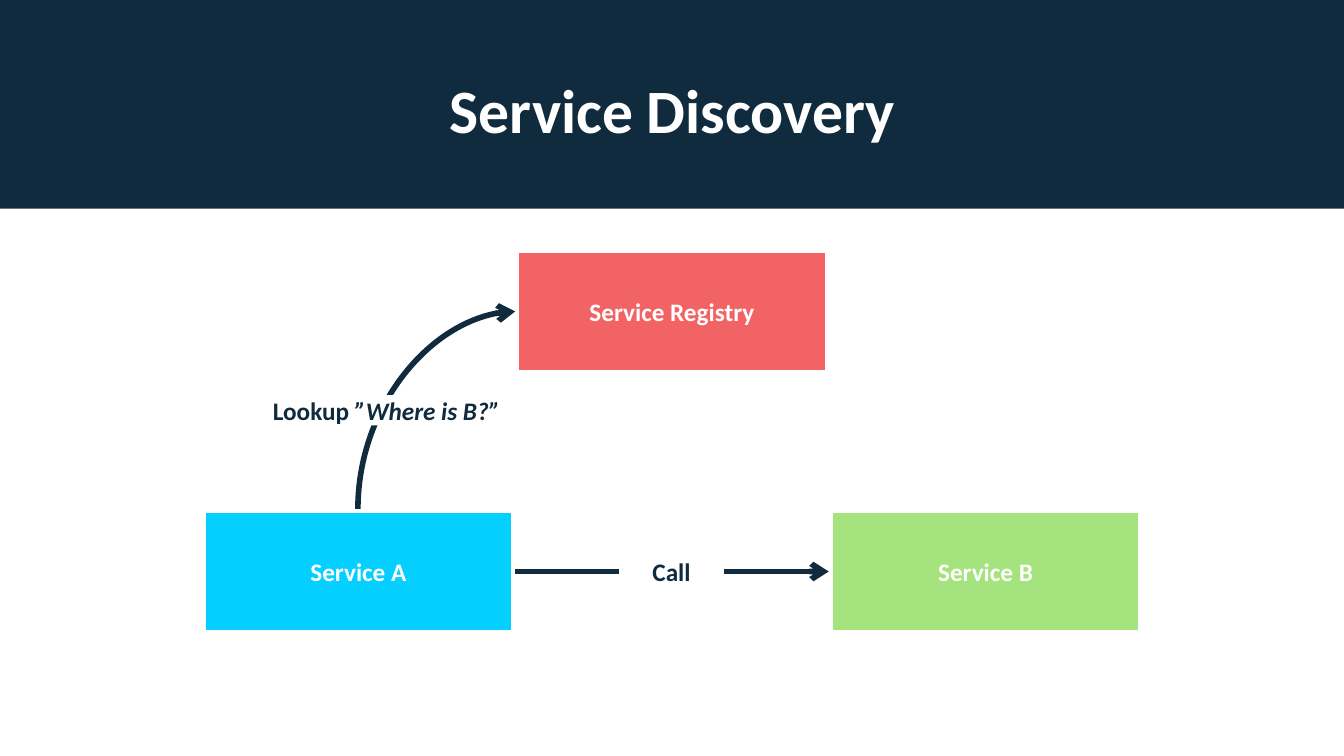
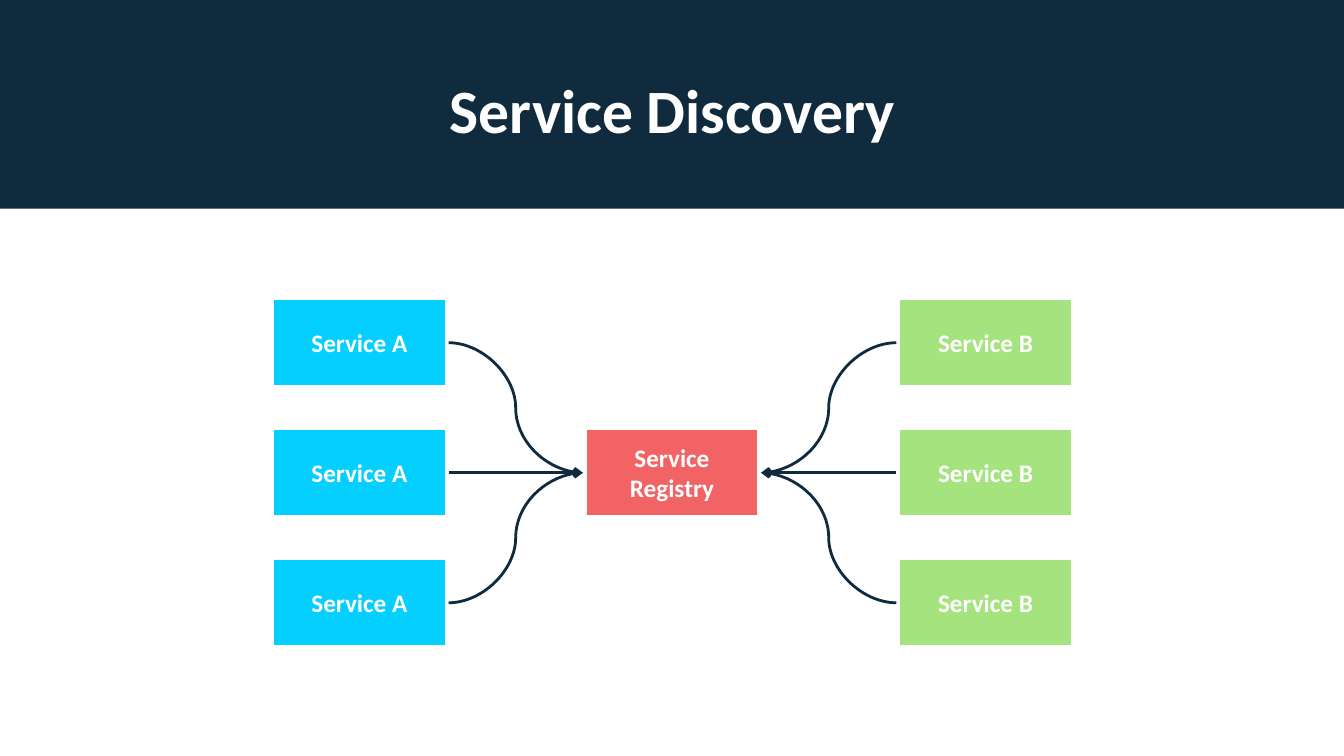
from dataclasses import dataclass

from lxml import etree
from pptx import Presentation
from pptx import util as u
from pptx.dml import color
from pptx.enum import shapes, text
from pptx.oxml import ns

PX = u.Inches(1) // 100
WIDTH, HEIGHT = 1333, 750


@dataclass(frozen=True)
class Theme:
    font: str = "Calibri"
    title: int = 44
    body: int = 18
    outline: float = 5.5
    navy: str = "102B3E"
    white: str = "FFFFFF"
    registry: str = "F16364"
    client: str = "05CFFF"
    provider: str = "A4E37D"


T = Theme()


def px(*lengths):
    return [round(n * PX) for n in lengths]


def rgb(value):
    return color.RGBColor.from_string(value)


def apply(obj, fmt):
    for name, value in fmt.items():
        setattr(obj, name, value)


def write(sp, runs, ink, size=T.body, spacing=None):
    tf = sp.text_frame
    apply(tf, {"word_wrap": True, "auto_size": text.MSO_AUTO_SIZE.NONE,
               "vertical_anchor": text.MSO_ANCHOR.MIDDLE})
    p = tf.paragraphs[0]
    apply(p, {"alignment": text.PP_ALIGN.CENTER, "line_spacing": spacing})
    for words, fmt in runs:
        r = p.add_run()
        r.text = words
        apply(r.font, {"name": T.font, "size": u.Pt(size), "bold": True, **fmt})
        r.font.color.rgb = rgb(ink)


def add_panel(parent, box, fill, kind=shapes.MSO_SHAPE.RECTANGLE):
    sp = parent.shapes.add_shape(kind, *px(*box))
    sp.shadow.inherit = False
    sp.fill.solid()
    sp.fill.fore_color.rgb = rgb(fill)
    sp.line.fill.background()
    return sp


def add_service(s, name, box, fill):
    sp = add_panel(s, box, fill, shapes.MSO_SHAPE.ROUNDED_RECTANGLE)
    sp.adjustments[0] = 0
    sp.line.color.rgb = rgb(T.white)
    sp.line.width = u.Pt(T.outline)
    write(sp, [(name, {})], T.white)


def add_label(parent, runs, box):
    write(add_panel(parent, box, T.white), runs, T.navy)


def add_arrow(parent, kind, start, end, width):
    c = parent.shapes.add_connector(kind, *px(*start, *end))
    c.line.color.rgb = rgb(T.navy)
    c.line.width = u.Pt(width)
    props = c._element.spPr
    tail = etree.SubElement(props.find(ns.qn("a:ln")), ns.qn("a:tailEnd"))
    tail.set("type", "arrow")
    etree.SubElement(props, ns.qn("a:effectLst"))
    return c


def add_rising_arc(parent, start, end, width):
    (x1, y1), (x2, y2) = start, end
    cx, cy = (x1 + x2) / 2, (y1 + y2) / 2
    dx, dy = (y1 - y2) / 2, (x2 - x1) / 2
    c = add_arrow(parent, shapes.MSO_CONNECTOR.CURVE,
                  (cx + dx, cy + dy), (cx - dx, cy - dy), width)
    props = c._element.spPr
    props.find(ns.qn("a:xfrm")).set("rot", str(90 * 60000))
    props.find(ns.qn("a:prstGeom")).set("prst", "curvedConnector2")


def add_titled_slide(prs, title):
    s = prs.slides.add_slide(prs.slide_layouts[5])
    band = add_panel(s, (0, 0, WIDTH, 207), T.navy)
    sp = s.shapes.title
    sp._element.addprevious(band._element)
    apply(sp, dict(zip(("left", "top", "width", "height"), px(92, 40, 1150, 145))))
    write(sp, [(title, {})], T.white, T.title, 0.9)
    return s


def add_lookup_slide(prs):
    s = add_titled_slide(prs, "Service Discovery")
    w, h, top, bottom = 311, 124, 247, 505
    left, middle, right = (200 + i * w for i in range(3))
    add_service(s, "Service Registry", (middle, top, w, h), T.registry)
    add_service(s, "Service A", (left, bottom, w, h), T.client)
    add_service(s, "Service B", (right, bottom, w, h), T.provider)

    lookup = s.shapes.add_group_shape()
    add_rising_arc(lookup, (left + w // 2, bottom), (middle, top + h // 2), 4)
    add_label(lookup, [("Lookup ", {}), ("”Where is B?”", {"italic": True})],
              (256, 392, 255, 30))

    call = s.shapes.add_group_shape()
    y = bottom + h // 2
    add_arrow(call, shapes.MSO_CONNECTOR.STRAIGHT, (middle, y), (right, y), 4)
    add_label(call, [("Call", {})], (614, y - 15, 104, 30))


def add_registration_slide(prs):
    s = add_titled_slide(prs, "Service Discovery")
    w, h = 177, 92
    left, middle, right = 268, 578, 889
    rows = [294 + i * 129 for i in range(3)]
    hub = rows[1] + h // 2
    add_service(s, "Service Registry", (middle, rows[1], w, h), T.registry)
    sides = [("Service A", left, T.client, left + w, middle),
             ("Service B", right, T.provider, right, middle + w)]
    for name, x, fill, start, end in sides:
        for top in rows:
            add_service(s, name, (x, top, w, h), fill)
            y = top + h // 2
            kind = (shapes.MSO_CONNECTOR.STRAIGHT if y == hub
                    else shapes.MSO_CONNECTOR.CURVE)
            add_arrow(s, kind, (start, y), (end, hub), 2)


def main():
    prs = Presentation()
    prs.slide_width, prs.slide_height = px(WIDTH, HEIGHT)
    add_lookup_slide(prs)
    add_registration_slide(prs)
    prs.save("out.pptx")


if __name__ == "__main__":
    main()
